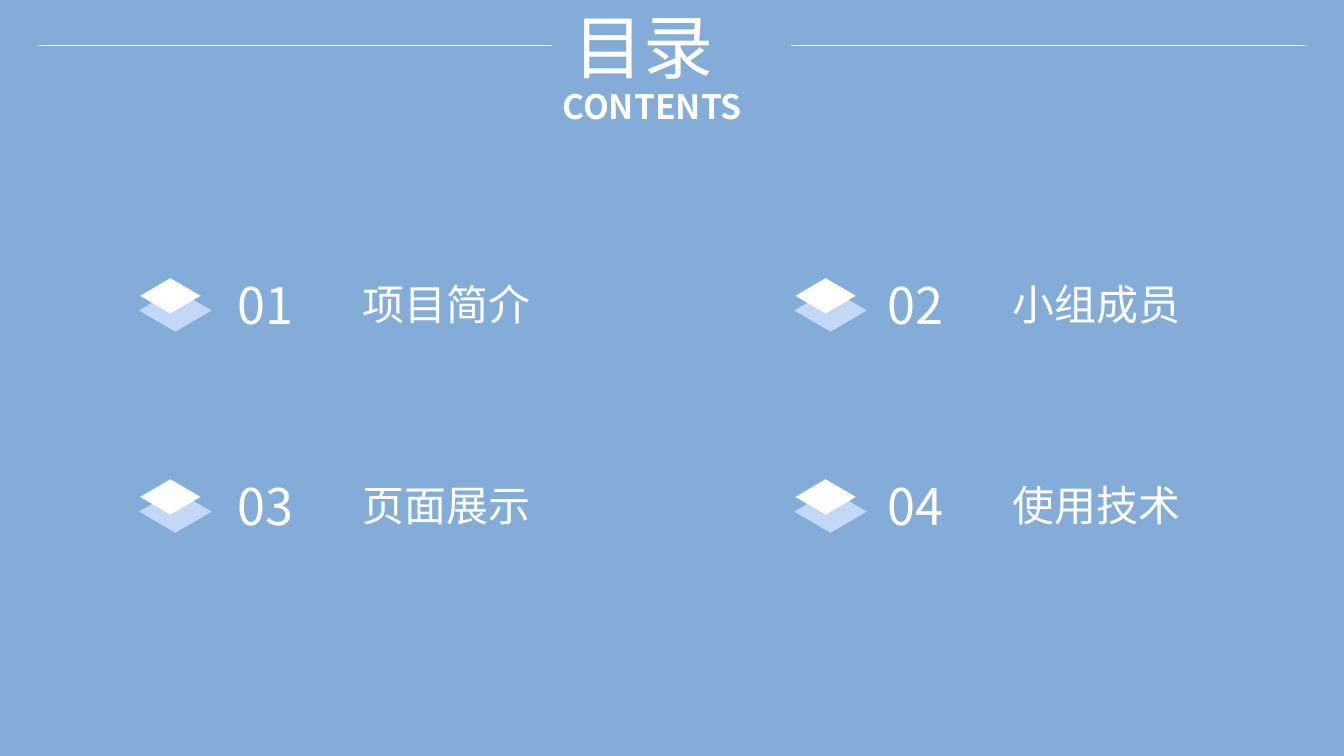
from dataclasses import dataclass
from itertools import product

from lxml import etree
from pptx import Presentation
from pptx import util as u
from pptx.dml.color import RGBColor
from pptx.enum import shapes, text
from pptx.oxml.ns import qn

WIDE, HIGH = u.Inches(13.33), u.Inches(7.5)
NOTO = "Noto Sans CJK SC"
WHITE, PALE, SKY = "FFFFFF", "C3D8F6", "83ADD8"
MID, JUST = text.PP_ALIGN.CENTER, text.PP_ALIGN.JUSTIFY
TEXT_STEP, ICON_STEP, ROW_STEP = 48.35, 48.75, 26.6


@dataclass
class Box:
    left: float
    top: float
    width: float
    height: float

    def shift(self, right: float, down: float) -> "Box":
        return Box(self.left + right, self.top + down, self.width, self.height)

    def place(self) -> tuple:
        return (across(self.left), below(self.top),
                across(self.width), below(self.height))


@dataclass
class Style:
    size: float
    face: str = NOTO
    bold: bool = False
    align: int = MID
    inset: tuple = (0.1, 0.05)


@dataclass
class Layer:
    box: Box
    fill: str


TITLE = Box(41.93, -0.27, 16.28, 12.53)
UNDER = Box(41.1, 10.67, 17.7, 6.67)
NUMBER = Box(16.15, 35.47, 7.2, 9.47)
LABEL = Box(21.1, 36.73, 24.23, 6.93)
ICON = [Layer(Box(10.35, 38.27, 5.4, 5.6), PALE),
        Layer(Box(10.43, 36.8, 4.5, 4.67), WHITE)]
RULES = [(2.8, 41.1), (58.87, 97.15)]
TOPICS = ["项目简介", "小组成员", "页面展示", "使用技术"]


def across(share: float) -> int:
    return round(WIDE * share / 100)


def below(share: float) -> int:
    return round(HIGH * share / 100)


def paint(code: str) -> RGBColor:
    return RGBColor.from_string(code)


def write(shape, words: str, style: Style) -> None:
    frame = shape.text_frame
    side, edge = (u.Inches(n) for n in style.inset)
    layout = {"word_wrap": True, "auto_size": text.MSO_AUTO_SIZE.NONE,
              "vertical_anchor": text.MSO_ANCHOR.MIDDLE,
              "margin_left": side, "margin_right": side,
              "margin_top": edge, "margin_bottom": edge}
    for key, value in layout.items():
        setattr(frame, key, value)
    line = frame.paragraphs[0]
    line.alignment = style.align
    run = line.add_run()
    run.text = words
    looks = {"size": u.Pt(style.size), "name": style.face, "bold": style.bold}
    for key, value in looks.items():
        setattr(run.font, key, value)
    run.font.color.rgb = paint(WHITE)
    if style.face == NOTO:
        east = etree.SubElement(run.font._element, qn("a:ea"))
        east.set("typeface", NOTO)


def add_text(parent, box: Box, words: str, style: Style) -> None:
    write(parent.add_textbox(*box.place()), words, style)


def add_icon(parent, right: float, down: float) -> None:
    group = parent.add_group_shape().shapes
    for layer in ICON:
        tile = group.add_shape(shapes.MSO_SHAPE.DIAMOND,
                               *layer.box.shift(right, down).place())
        tile.shadow.inherit = False
        tile.fill.solid()
        tile.fill.fore_color.rgb = paint(layer.fill)
        tile.line.fill.background()


def add_rule(parent, start: float, end: float) -> None:
    rule = parent.add_connector(shapes.MSO_CONNECTOR.STRAIGHT,
                                across(start), below(6), across(end), below(6))
    rule.line.color.rgb = paint(WHITE)
    rule.line.width = u.Pt(0.5)
    etree.SubElement(rule._element.spPr, qn("a:effectLst"))


def add_topic(parent, index: int, col: int, row: int) -> None:
    right, down = col * TEXT_STEP, row * ROW_STEP
    group = parent.add_group_shape().shapes
    add_text(group, LABEL.shift(right, down), TOPICS[index],
             Style(30, inset=(0.16, 0)))
    add_text(group, NUMBER.shift(right, down), f"{index + 1:02}", Style(36))
    add_icon(parent, col * ICON_STEP, down)


def main() -> None:
    deck = Presentation()
    deck.slide_width, deck.slide_height = WIDE, HIGH
    slide = deck.slides.add_slide(deck.slide_layouts[5])
    fill = slide.background.fill
    fill.solid()
    fill.fore_color.rgb = paint(SKY)
    parts = slide.shapes
    title = parts.title
    title.left, title.top, title.width, title.height = TITLE.place()
    write(title, "目录", Style(50, "Arial", align=JUST))
    add_text(parts, UNDER, "CONTENTS", Style(24, bold=True, align=JUST))
    for start, end in RULES:
        add_rule(parts, start, end)
    for index, (row, col) in enumerate(product(range(2), repeat=2)):
        add_topic(parts, index, col, row)
    deck.save("out.pptx")


if __name__ == "__main__":
    main()
